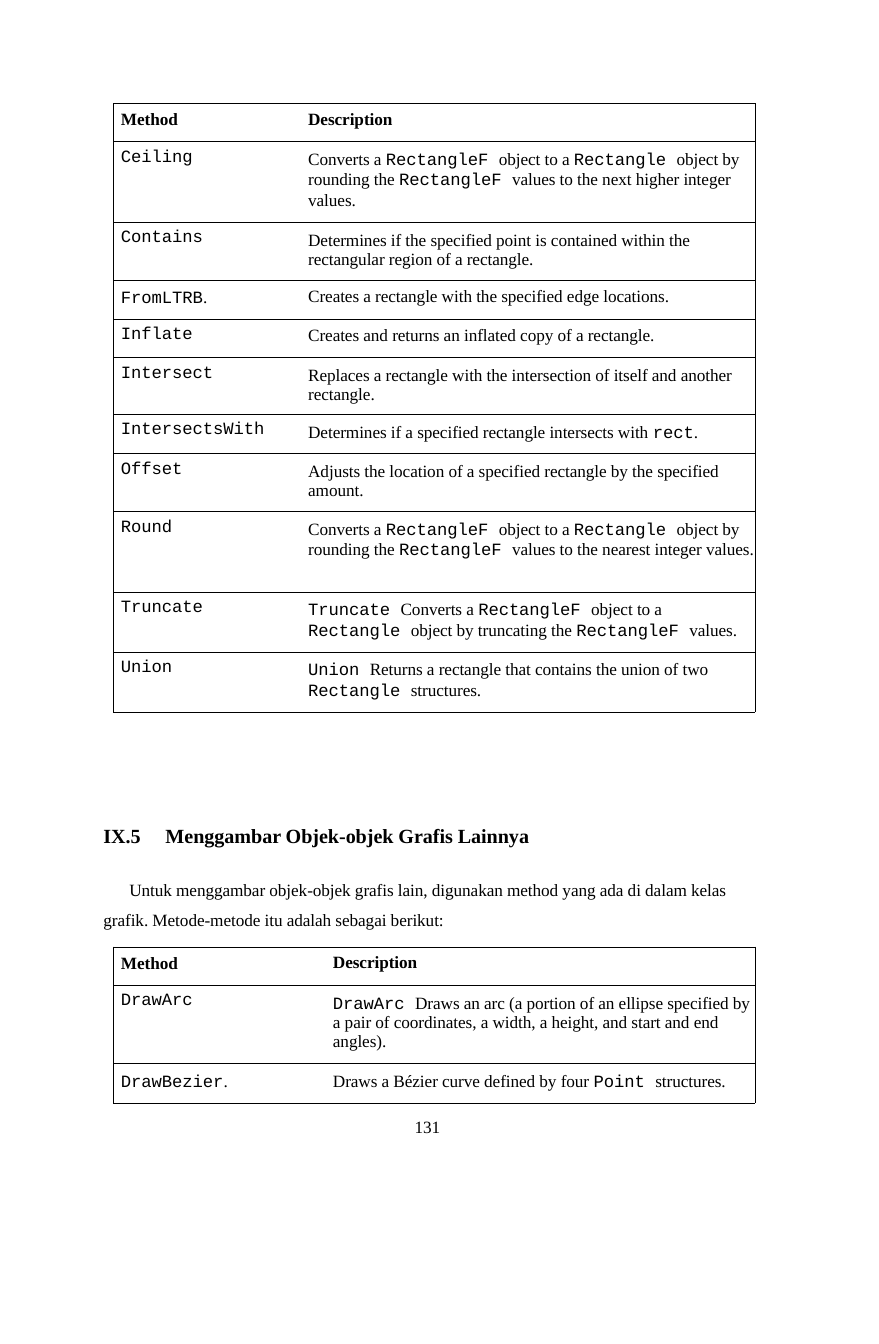
from lxml import etree
from pptx import Presentation
from pptx.dml.color import RGBColor
from pptx.enum import text
from pptx.oxml import ns
from pptx.util import Inches, Pt

SERIF, MONO, INK = "Times New Roman", "Courier New", "000000"

# Text between backticks is set in the code font.
# Each row: method, description, their top margins, row height
HEADER = ("Method", "Description", 0.07, 0.07, 0.37)
RECTANGLE_ROWS = [
    HEADER,
    ("`Ceiling`", "Converts a `RectangleF `object to a `Rectangle `object by rounding the "
     "`RectangleF `values to the next higher integer values.", 0.06, 0.08, 0.78),
    ("`Contains`", "Determines if the specified point is contained within the "
     "rectangular region of a rectangle.", 0.06, 0.09, 0.56),
    ("`FromLTRB`.", "Creates a rectangle with the specified edge locations.", 0.08, 0.07, 0.38),
    ("`Inflate`", "Creates and returns an inflated copy of a rectangle.", 0.06, 0.07, 0.37),
    ("`Intersect`", "Replaces a rectangle with the intersection of itself and another "
     "rectangle.", 0.06, 0.08, 0.55),
    ("`IntersectsWith`", "Determines if a specified rectangle intersects with `rect`.",
     0.06, 0.08, 0.38),
    ("`Offset`", "Adjusts the location of a specified rectangle by the specified amount.",
     0.06, 0.08, 0.56),
    ("`Round`", "Converts a `RectangleF `object to a `Rectangle `object by rounding the "
     "`RectangleF `values to the nearest integer values.", 0.06, 0.08, 0.78),
    ("`Truncate`", "`Truncate `Converts a `RectangleF `object to a\n"
     "`Rectangle `object by truncating the `RectangleF `values.", 0.06, 0.08, 0.58),
    ("`Union`", "`Union `Returns a rectangle that contains the union of two\n"
     "`Rectangle `structures.", 0.06, 0.08, 0.58),
]
DRAWING_ROWS = [
    HEADER,
    ("`DrawArc`", "`DrawArc `Draws an arc (a portion of an ellipse specified by a pair of "
     "coordinates, a width, a height, and start and end angles).", 0.06, 0.09, 0.76),
    ("`DrawBezier`.", "Draws a Bézier curve defined by four `Point `structures.",
     0.08, 0.08, 0.38),
]
# Rows, top, column widths, description indent, line spacing
TABLES = [
    (RECTANGLE_ROWS, 1.0, (1.68, 4.52), 0.2, 1.0),
    (DRAWING_ROWS, 9.16, (1.62, 4.58), 0.5, 0.96),
]
HEADING = "IX.5\tMenggambar Objek-objek Grafis Lainnya"
INTRO = ("Untuk menggambar objek-objek grafis lain, digunakan method yang ada di dalam kelas "
         "grafik. Metode-metode itu adalah sebagai berikut:")
PAGE_NUMBER = "131"


def color(value):
    return RGBColor.from_string(value)


def write(frame, content, size=12, bold=False, spacing=None):
    frame.word_wrap = True
    for number, line in enumerate(content.split("\n")):
        para = frame.add_paragraph() if number else frame.paragraphs[0]
        para.alignment = text.PP_ALIGN.LEFT
        if spacing:
            para.line_spacing = spacing
        for index, part in enumerate(line.split("`")):
            if not part:
                continue
            span = para.add_run()
            span.text = part
            span.font.name = MONO if index % 2 else SERIF
            span.font.size = Pt(size)
            span.font.bold = bold
            span.font.color.rgb = color(INK)
            span._r.get_or_add_rPr().set("spc", "-5")


def set_margins(frame, left=0, top=0):
    frame.margin_left, frame.margin_top = Inches(left), Inches(top)
    frame.margin_right = frame.margin_bottom = 0


def set_borders(cell, sides):
    properties = cell._tc.get_or_add_tcPr()
    for side in "LRTB":
        line = etree.SubElement(properties, ns.qn(f"a:ln{side}"), w=str(Pt(0.5)))
        if side in sides:
            fill = etree.SubElement(line, ns.qn("a:solidFill"))
            etree.SubElement(fill, ns.qn("a:srgbClr"), val=INK)
        else:
            etree.SubElement(line, ns.qn("a:noFill"))


def add_method_table(page, rows, top, widths, indent, spacing):
    height = sum(row[-1] for row in rows)
    table = page.shapes.add_table(len(rows), 2, Inches(1.1), Inches(top),
                                  Inches(sum(widths)), Inches(height)).table
    table.first_row = table.horz_banding = False
    for column, width in zip(table.columns, widths):
        column.width = Inches(width)
    for number, (method, description, method_top, description_top, height) in enumerate(rows):
        table.rows[number].height = Inches(height)
        columns = [(method, 0.07, method_top, "LTB", 1.0),
                   (description, indent, description_top, "RTB", spacing)]
        for index, (content, left, margin, sides, leading) in enumerate(columns):
            cell = table.cell(number, index)
            set_margins(cell, left, margin)
            set_borders(cell, sides)
            cell.fill.background()
            write(cell.text_frame, content, bold=number == 0, spacing=leading)


def add_text(page, content, left, top, width, height, spacing):
    box = page.shapes.add_textbox(Inches(left), Inches(top), Inches(width), Inches(height))
    set_margins(box.text_frame)
    write(box.text_frame, content, spacing=spacing)
    return box.text_frame.paragraphs[0]


def add_heading(page):
    title = page.shapes.title
    title.left, title.top = Inches(1), Inches(7.95)
    title.width, title.height = Inches(6.1), Inches(0.25)
    frame = title.text_frame
    set_margins(frame, top=0.01)
    frame.auto_size = text.MSO_AUTO_SIZE.NONE
    frame.vertical_anchor = text.MSO_ANCHOR.TOP
    tabs = etree.SubElement(frame.paragraphs[0]._p.get_or_add_pPr(), ns.qn("a:tabLst"))
    etree.SubElement(tabs, ns.qn("a:tab"), pos=str(Inches(0.6)), algn="l")
    write(frame, HEADING, size=14, bold=True)


def main():
    deck = Presentation()
    deck.slide_width, deck.slide_height = Inches(8.5), Inches(13)
    page = deck.slides.add_slide(deck.slide_layouts[5])
    add_heading(page)
    intro = add_text(page, INTRO, 1, 8.42, 6.15, 0.5, 1.44)
    intro._p.get_or_add_pPr().set("indent", str(Inches(0.25)))
    for table in TABLES:
        add_method_table(page, *table)
    add_text(page, PAGE_NUMBER, 4.01, 10.8, 0.45, 0.21, Pt(14.1))
    deck.save("out.pptx")


if __name__ == "__main__":
    main()
